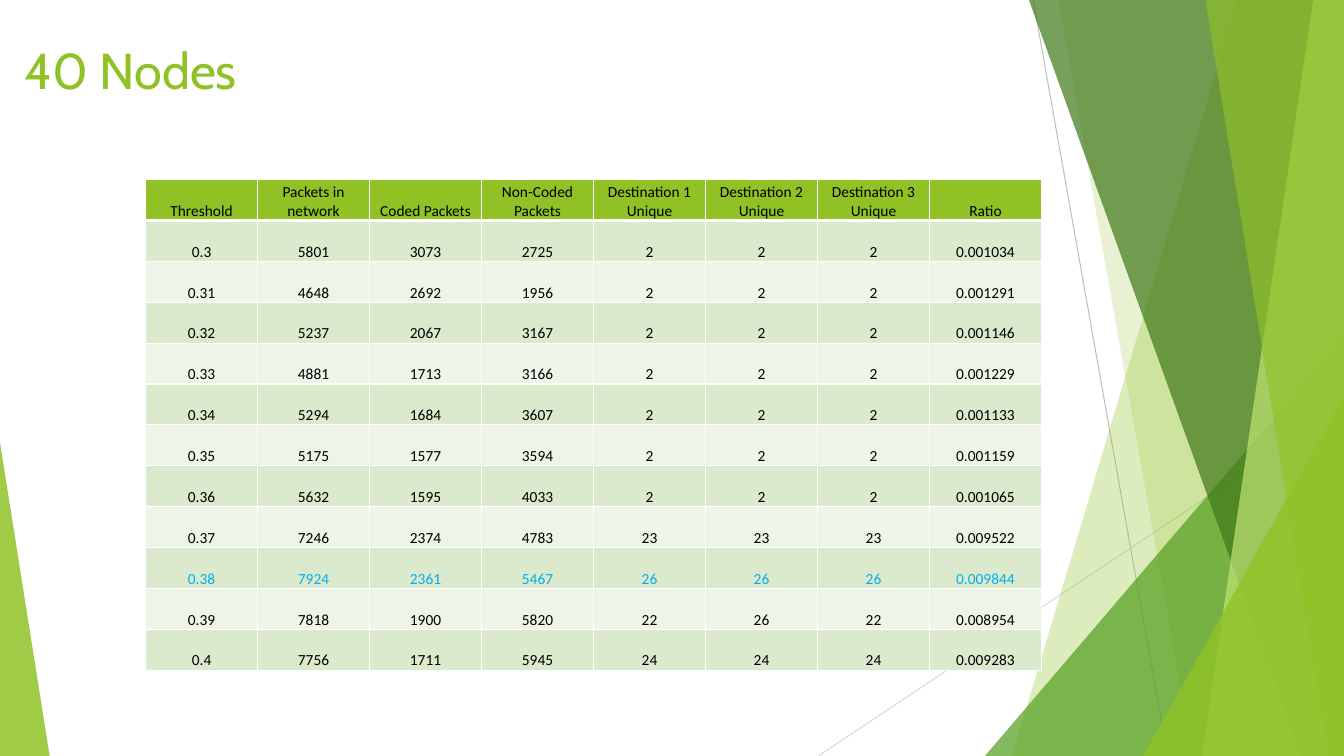
from lxml.etree import SubElement
from pptx import Presentation
from pptx.dml.color import RGBColor
from pptx.enum.shapes import MSO_CONNECTOR, MSO_SHAPE
from pptx.enum.text import MSO_ANCHOR, MSO_AUTO_SIZE, PP_ALIGN
from pptx.oxml.ns import qn
from pptx.util import Pt

LIME = RGBColor(0x90, 0xC2, 0x26)
PALE_LIME = RGBColor(0xC0, 0xE4, 0x74)
GREEN = RGBColor(0x54, 0xA0, 0x21)
DARK_GREEN = RGBColor(0x3F, 0x78, 0x19)
ODD_ROW = RGBColor(0xDB, 0xE9, 0xCD)
EVEN_ROW = RGBColor(0xEE, 0xF4, 0xE8)
BLUE = RGBColor(0x00, 0xB0, 0xF0)
BLACK = RGBColor(0, 0, 0)
WHITE = RGBColor(0xFF, 0xFF, 0xFF)
GRAY = RGBColor(0xBF, 0xBF, 0xBF)
LIGHT_GRAY = RGBColor(0xD9, 0xD9, 0xD9)

TITLE = "40 Nodes"
HEADERS = ["Threshold", "Packets in network", "Coded Packets", "Non-Coded Packets",
           "Destination 1 Unique", "Destination 2 Unique", "Destination 3 Unique", "Ratio"]
RESULTS = [
    ("0.3", "5801", "3073", "2725", "2", "2", "2", "0.001034"),
    ("0.31", "4648", "2692", "1956", "2", "2", "2", "0.001291"),
    ("0.32", "5237", "2067", "3167", "2", "2", "2", "0.001146"),
    ("0.33", "4881", "1713", "3166", "2", "2", "2", "0.001229"),
    ("0.34", "5294", "1684", "3607", "2", "2", "2", "0.001133"),
    ("0.35", "5175", "1577", "3594", "2", "2", "2", "0.001159"),
    ("0.36", "5632", "1595", "4033", "2", "2", "2", "0.001065"),
    ("0.37", "7246", "2374", "4783", "23", "23", "23", "0.009522"),
    ("0.38", "7924", "2361", "5467", "26", "26", "26", "0.009844"),
    ("0.39", "7818", "1900", "5820", "22", "26", "22", "0.008954"),
    ("0.4", "7756", "1711", "5945", "24", "24", "24", "0.009283"),
]
BEST_THRESHOLD = "0.38"

WIDTH, HEIGHT = 960, 540
LINES = [(738, 0, 834, HEIGHT, GRAY), (WIDTH, 290, 584.5, HEIGHT, LIGHT_GRAY)]
BACK_BANDS = [(884, 723, LIME, 30), (756, 852, LIME, 20)]
BACK_TRIANGLE = (703.5, 240, 256.5, 1, GREEN, 72)
FRONT_BANDS = [(735, 929.5, DARK_GREEN, 70), (938, 858.5, PALE_LIME, 70), (861, 949, LIME, 65)]
FRONT_TRIANGLES = [(816.5, 283, 143.5, 1, LIME, 80), (0, 316, 35.5, 0, LIME, 85)]

TABLE_LEFT, TABLE_TOP = 104, 128.3
COLUMN_WIDTH, ROW_HEIGHT = 80, 29.2


def paint(shape, color, opacity):
    shape.shadow.inherit = False
    shape.line.fill.background()
    shape.fill.solid()
    shape.fill.fore_color.rgb = color
    fill = shape.fill._xPr.find(qn("a:solidFill"))
    SubElement(fill[0], qn("a:alpha"), val=str(opacity * 1000))


def add_line(slide, x1, y1, x2, y2, color):
    line = slide.shapes.add_connector(MSO_CONNECTOR.STRAIGHT, Pt(x1), Pt(y1), Pt(x2), Pt(y2))
    line.line.color.rgb = color
    line.line.width = Pt(0.75)
    SubElement(line._element.spPr, qn("a:effectLst"))


def add_band(slide, top_x, bottom_x, color, opacity):
    outline = slide.shapes.build_freeform(Pt(top_x), 0)
    corners = [(WIDTH, 0), (WIDTH, HEIGHT), (bottom_x, HEIGHT)]
    outline.add_line_segments([(Pt(x), Pt(y)) for x, y in corners])
    paint(outline.convert_to_shape(), color, opacity)


def add_triangle(slide, left, top, width, apex, color, opacity):
    triangle = slide.shapes.add_shape(
        MSO_SHAPE.ISOSCELES_TRIANGLE, Pt(left), Pt(top), Pt(width), Pt(HEIGHT - top))
    triangle.adjustments[0] = apex
    paint(triangle, color, opacity)


def add_text(para, text, font, size, color):
    span = para.add_run()
    span.text = text
    span.font.name = font
    span.font.size = Pt(size)
    span.font.bold = False
    span.font.color.rgb = color


def set_borders(cell, bottom_width):
    properties = cell._tc.get_or_add_tcPr()
    widths = [("a:lnL", 1), ("a:lnR", 1), ("a:lnT", 1), ("a:lnB", bottom_width)]
    for position, (tag, width) in enumerate(widths):
        border = SubElement(properties, qn(tag), w=str(Pt(width)))
        fill = SubElement(border, qn("a:solidFill"))
        SubElement(fill, qn("a:srgbClr"), val=str(WHITE))
        properties.insert(position, border)


def format_cell(cell, text, fill, color, bottom_width):
    cell.fill.solid()
    cell.fill.fore_color.rgb = fill
    cell.vertical_anchor = MSO_ANCHOR.BOTTOM
    cell.margin_left = cell.margin_right = cell.margin_top = Pt(0.72)
    cell.margin_bottom = 0
    set_borders(cell, bottom_width)
    para = cell.text_frame.paragraphs[0]
    para.alignment = PP_ALIGN.CENTER
    add_text(para, text, "Calibri", 11, color)


def add_results(slide):
    rows = [HEADERS, *RESULTS]
    table = slide.shapes.add_table(
        len(rows), len(HEADERS), Pt(TABLE_LEFT), Pt(TABLE_TOP),
        Pt(COLUMN_WIDTH * len(HEADERS)), Pt(ROW_HEIGHT * len(rows))).table
    for column in table.columns:
        column.width = Pt(COLUMN_WIDTH)
    for number, values in enumerate(rows):
        table.rows[number].height = Pt(ROW_HEIGHT)
        fill = LIME if number == 0 else ODD_ROW if number % 2 else EVEN_ROW
        color = BLUE if values[0] == BEST_THRESHOLD else BLACK
        bottom_width = 3 if number == 0 else 1
        for cell, text in zip(table.rows[number].cells, values):
            format_cell(cell, text, fill, color, bottom_width)


def add_title(slide):
    title = slide.shapes.title
    title.left, title.top, title.width, title.height = Pt(10), Pt(24), Pt(287), Pt(104)
    frame = title.text_frame
    frame.auto_size = MSO_AUTO_SIZE.NONE
    frame.vertical_anchor = MSO_ANCHOR.TOP
    para = frame.paragraphs[0]
    para.alignment = PP_ALIGN.LEFT
    add_text(para, TITLE, "Cabin", 36, LIME)


def main():
    deck = Presentation()
    deck.slide_width, deck.slide_height = Pt(WIDTH), Pt(HEIGHT)
    page = deck.slides.add_slide(deck.slide_layouts[5])
    for line in LINES:
        add_line(page, *line)
    for band in BACK_BANDS:
        add_band(page, *band)
    add_triangle(page, *BACK_TRIANGLE)
    for band in FRONT_BANDS:
        add_band(page, *band)
    for triangle in FRONT_TRIANGLES:
        add_triangle(page, *triangle)
    add_title(page)
    add_results(page)
    deck.save("out.pptx")


if __name__ == "__main__":
    main()
